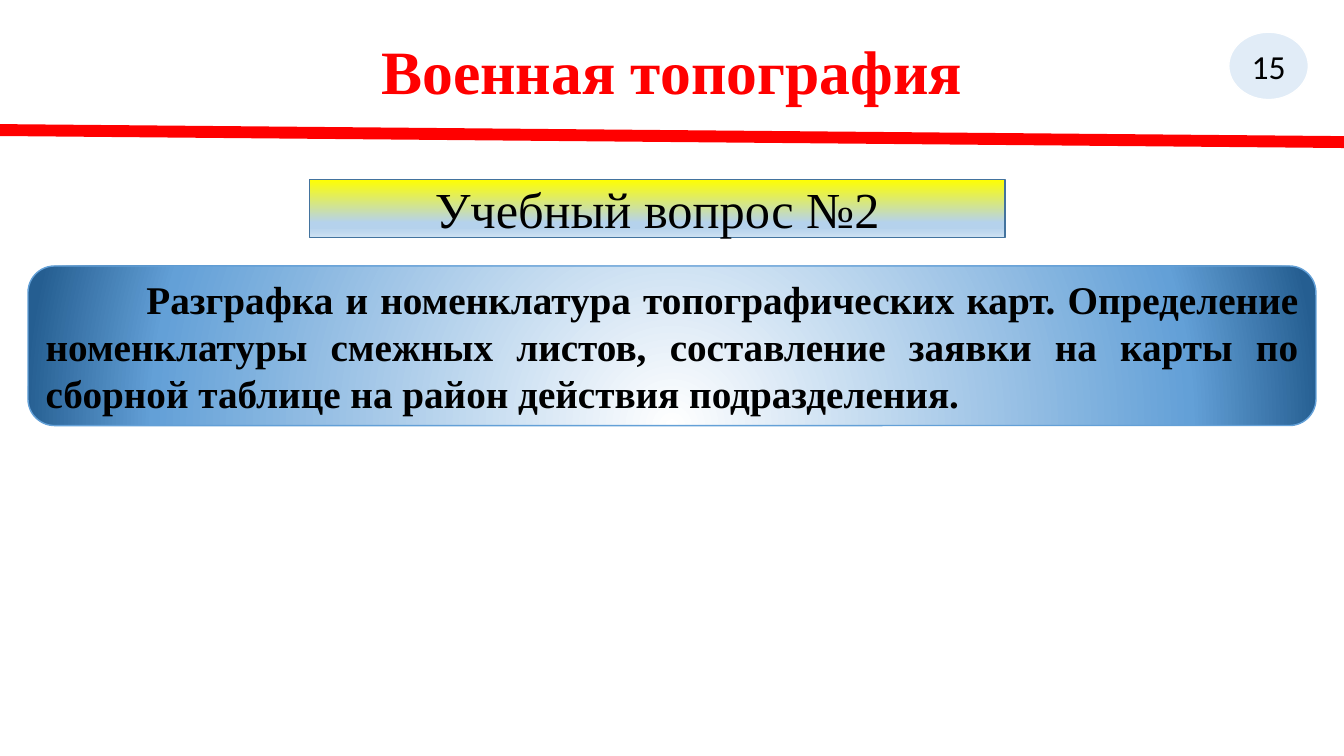
from lxml.etree import SubElement
from pptx import Presentation
from pptx.dml.color import RGBColor
from pptx.enum.shapes import MSO_CONNECTOR as Connector, MSO_SHAPE as Shape
from pptx.enum.text import MSO_ANCHOR as Anchor, PP_ALIGN as Align
from pptx.oxml import parse_xml
from pptx.oxml.ns import nsdecls, qn
from pptx.util import Pt

BLACK = RGBColor(0x00, 0x00, 0x00)
WHITE = RGBColor(0xFF, 0xFF, 0xFF)
RED = RGBColor(0xFF, 0x00, 0x00)
YELLOW = RGBColor(0xFF, 0xFF, 0x00)
PALE_BLUE = RGBColor(0xCE, 0xE1, 0xF2)
LIGHT_BLUE = RGBColor(0xB5, 0xD2, 0xEC)
SKY_BLUE = RGBColor(0x63, 0xA0, 0xD7)
BADGE_BLUE = RGBColor(0x5B, 0x9B, 0xD5)
STEEL_BLUE = RGBColor(0x43, 0x73, 0x9E)
DEEP_BLUE = RGBColor(0x25, 0x5E, 0x91)

SERIF = "Times New Roman"
SANS = "Calibri"
DOWNWARD = '<a:lin ang="5400000" scaled="0"/>'
FROM_BELOW = (
    '<a:path path="circle">'
    '<a:fillToRect l="50000" t="130000" r="50000" b="-30000"/></a:path>'
)


def write_text(box, text, size, font=SERIF, color=BLACK, bold=False,
               align=Align.CENTER, anchor=Anchor.MIDDLE):
    """Put one formatted paragraph into a box and return it."""
    frame = box.text_frame
    frame.word_wrap = True
    frame.vertical_anchor = anchor
    frame.text = text
    para = frame.paragraphs[0]
    para.alignment = align
    for span in para.runs:
        span.font.name = font
        span.font.size = Pt(size)
        span.font.bold = bold
        span.font.color.rgb = color
    return para


def add_title(page, text):
    """Add the red slide title."""
    box = page.shapes.add_textbox(Pt(66), Pt(17.5), Pt(828), Pt(64))
    box.text_frame.margin_top = Pt(12)
    para = write_text(box, text, 44, color=RED, bold=True, anchor=Anchor.TOP)
    para.line_spacing = 0.9


def add_rule(page):
    """Add the slanted red line under the title."""
    rule = page.shapes.add_connector(
        Connector.STRAIGHT, Pt(0), Pt(92.9), Pt(960), Pt(101.5))
    rule.line.color.rgb = RED
    rule.line.width = Pt(8.5)
    SubElement(rule._element.spPr, qn("a:effectLst"))


def add_panel(page, kind, left, top, width, height, outline):
    """Add an outlined shape without shadow."""
    panel = page.shapes.add_shape(
        kind, Pt(left), Pt(top), Pt(width), Pt(height))
    panel.shadow.inherit = False
    panel.line.color.rgb = outline
    panel.line.width = Pt(1)
    return panel


def fill_gradient(panel, stops, direction):
    """Fill a panel with colour stops given in percent."""
    marks = "".join(
        f'<a:gs pos="{percent * 1000}"><a:srgbClr val="{color}"/></a:gs>'
        for percent, color in stops)
    gradient = parse_xml(
        f'<a:gradFill {nsdecls("a")} rotWithShape="1">'
        f'<a:gsLst>{marks}</a:gsLst>{direction}</a:gradFill>')
    panel._element.spPr.find(qn("a:prstGeom")).addnext(gradient)


def add_badge(page, number):
    """Add the translucent oval with the slide number."""
    badge = add_panel(page, Shape.OVAL, 877.7, 23, 56.9, 48.2, WHITE)
    badge.fill.solid()
    badge.fill.fore_color.rgb = BADGE_BLUE
    color = badge._element.spPr.find(qn("a:solidFill"))[0]
    SubElement(color, qn("a:alpha"), val="18000")
    write_text(badge, number, 24, font=SANS)


def add_topic(page, text):
    """Add the rounded panel with the topic statement."""
    panel = add_panel(
        page, Shape.ROUNDED_RECTANGLE, 20, 190, 920, 114, SKY_BLUE)
    fill_gradient(
        panel, [(0, WHITE), (80, SKY_BLUE), (100, DEEP_BLUE)], FROM_BELOW)
    para = write_text(panel, text, 28, bold=True, align=Align.JUSTIFY)
    properties = para._p.get_or_add_pPr()
    properties.set("marL", "0")
    properties.set("indent", str(Pt(72)))


def add_question(page, text):
    """Add the yellow and blue heading of the question."""
    panel = add_panel(
        page, Shape.RECTANGLE, 221, 128.2, 497, 41.6, STEEL_BLUE)
    fill_gradient(
        panel,
        [(0, YELLOW), (74, LIGHT_BLUE), (83, LIGHT_BLUE), (100, PALE_BLUE)],
        DOWNWARD)
    write_text(panel, text, 36)


def main():
    """Build the slide and save the deck."""
    deck = Presentation()
    deck.slide_width, deck.slide_height = Pt(960), Pt(540)
    page = deck.slides.add_slide(deck.slide_layouts[6])
    add_title(page, "Военная топография")
    add_rule(page)
    add_badge(page, "15")
    add_topic(
        page,
        "Разграфка и номенклатура топографических карт. Определение "
        "номенклатуры смежных листов, составление заявки на карты по "
        "сборной таблице на район действия подразделения.")
    add_question(page, "Учебный вопрос №2")
    deck.save("out.pptx")


if __name__ == "__main__":
    main()
